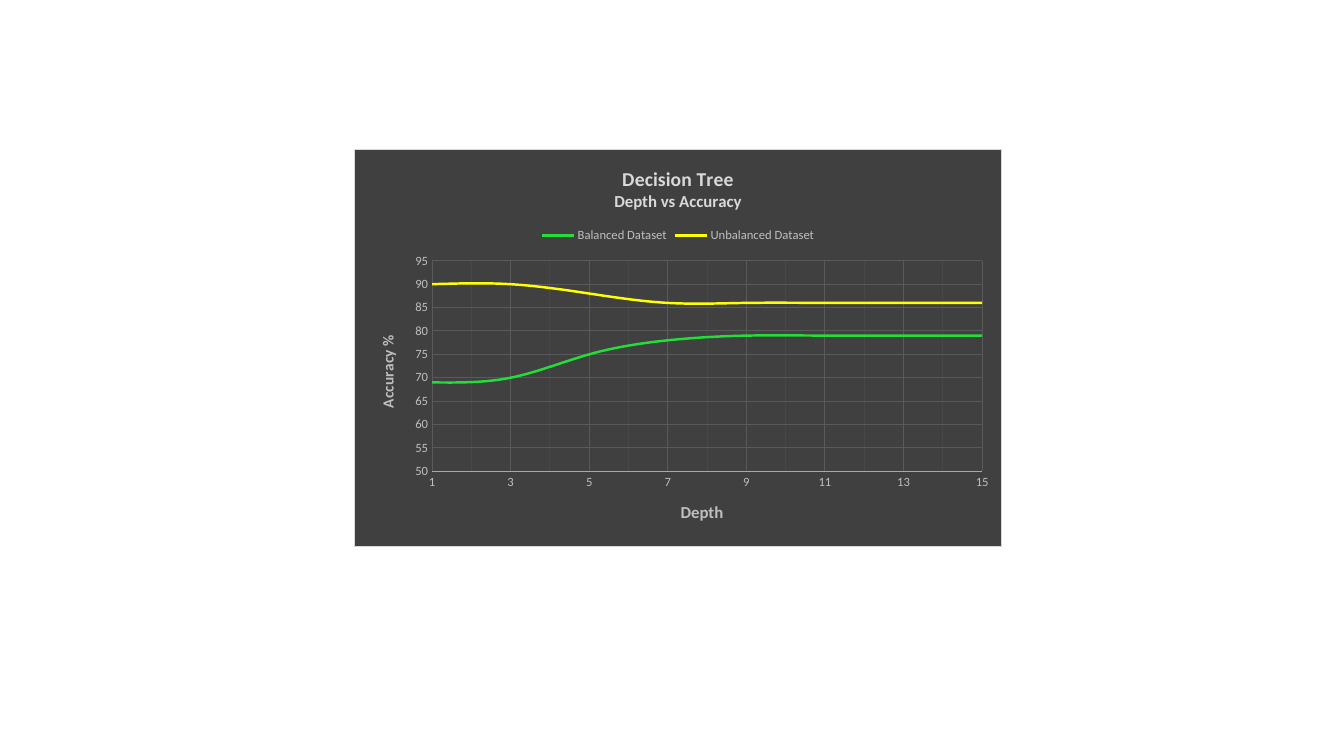
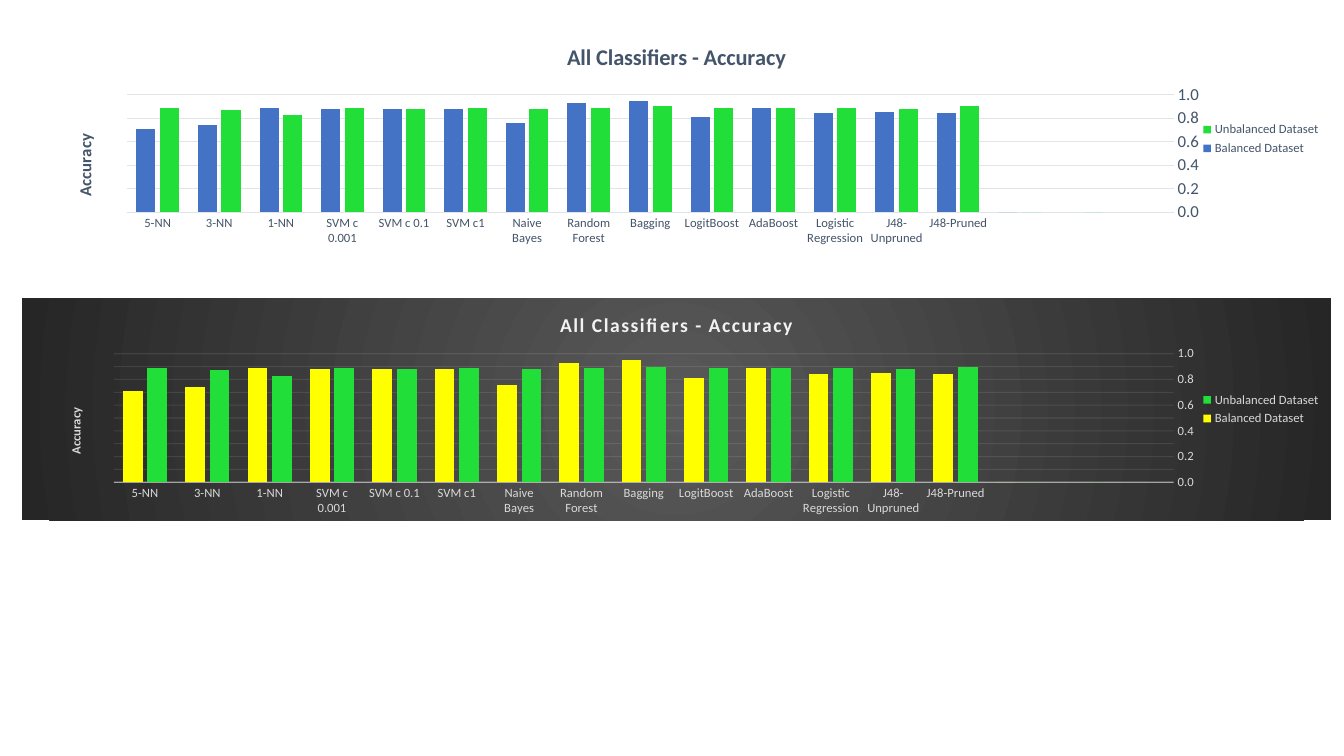
import pptx
import pptx.chart.data
import pptx.dml.color
import pptx.enum.chart
import pptx.oxml
import pptx.oxml.ns
import pptx.util

Inches = pptx.util.Inches
Pt = pptx.util.Pt
RGBColor = pptx.dml.color.RGBColor
qn = pptx.oxml.ns.qn
XL_CHART_TYPE = pptx.enum.chart.XL_CHART_TYPE
XL_LEGEND_POSITION = pptx.enum.chart.XL_LEGEND_POSITION

FONT = "Calibri"
GREEN = RGBColor(0x21, 0xDF, 0x38)
YELLOW = RGBColor(0xFF, 0xFF, 0x00)
BLUE = RGBColor(0x44, 0x72, 0xC4)
PALE_BLUE = RGBColor(0x8F, 0xAA, 0xDC)
SLATE = RGBColor(0x44, 0x54, 0x6A)
MIST = RGBColor(0xE0, 0xE5, 0xEB)
WHITE_SMOKE = RGBColor(0xF2, 0xF2, 0xF2)
LIGHT_GREY = RGBColor(0xD9, 0xD9, 0xD9)
SILVER = RGBColor(0xBF, 0xBF, 0xBF)
GRID_GREY = RGBColor(0x59, 0x59, 0x59)
FAINT_GREY = RGBColor(0x47, 0x47, 0x47)
CHARCOAL = RGBColor(0x40, 0x40, 0x40)
NEAR_BLACK = RGBColor(0x26, 0x26, 0x26)

DEPTHS = ["1", "3", "5", "7", "9", "11", "13", "15"]
DEPTH_SERIES = {
    "Balanced Dataset": [69, 70, 75, 78, 79, 79, 79, 79],
    "Unbalanced Dataset": [90, 90, 88, 86, 86, 86, 86, 86],
}
CLASSIFIERS = [
    "", "", "", "J48-Pruned", "J48-Unpruned", "Logistic Regression",
    "AdaBoost", "LogitBoost", "Bagging", "Random Forest", "Naive Bayes",
    "SVM c1", "SVM c 0.1", "SVM c 0.001", "1-NN", "3-NN", "5-NN",
]
CLASSIFIER_SERIES = {
    "Unbalanced Dataset": [
        None, 0, 0, 0.9, 0.88, 0.89, 0.89, 0.89, 0.9,
        0.89, 0.88, 0.89, 0.88, 0.89, 0.83, 0.87, 0.89],
    "Balanced Dataset": [
        None, None, 0, 0.84, 0.85, 0.84, 0.89, 0.81, 0.95,
        0.93, 0.76, 0.88, 0.88, 0.88, 0.89, 0.74, 0.71],
}


def drawing_xml(tag, content):
    """Parse a chart element with the given inner markup."""
    names = pptx.oxml.ns.nsdecls("c", "a")
    return pptx.oxml.parse_xml(f"<c:{tag} {names}>{content}</c:{tag}>")


def solid_xml(colour):
    """Return the markup of a solid fill."""
    return f'<a:solidFill><a:srgbClr val="{colour}"/></a:solidFill>'


def line_xml(colour):
    """Return the markup of a thin line."""
    return f'<a:ln w="{Pt(0.75)}">{solid_xml(colour)}</a:ln>'


def radial_xml(inner, outer):
    """Return the markup of a gradient running outwards from the centre."""
    stops = "".join(
        f'<a:gs pos="{place}"><a:srgbClr val="{colour}"/></a:gs>'
        for place, colour in ((0, inner), (100000, outer)))
    return (f'<a:gradFill><a:gsLst>{stops}</a:gsLst><a:path path="circle">'
            '<a:fillToRect l="50000" t="50000" r="50000" b="50000"/>'
            '</a:path></a:gradFill>')


def set_font(font, size, colour, bold=False):
    """Apply the deck's typeface with a size, colour and weight."""
    font.name = FONT
    font.size = Pt(size)
    font.bold = bold
    font.color.rgb = colour


def write_title(frame, lines, colour):
    """Write bold title lines given as pairs of text and size."""
    frame.text = "\n".join(text for text, size in lines)
    for para, (text, size) in zip(frame.paragraphs, lines):
        set_font(para.font, size, colour, True)


def style_axis(axis, size, colour, line=None, title=None, grid=None):
    """Format an axis, its labels, its title and its major gridlines."""
    axis.major_tick_mark = pptx.enum.chart.XL_TICK_MARK.NONE
    axis.minor_tick_mark = pptx.enum.chart.XL_TICK_MARK.NONE
    set_font(axis.tick_labels.font, size, colour)
    if line is None:
        axis.format.line.fill.background()
    else:
        axis.format.line.color.rgb = line
        axis.format.line.width = Pt(0.75)
    if title:
        write_title(axis.axis_title.text_frame, [title], colour)
    axis.has_major_gridlines = grid is not None
    if grid is not None:
        axis.major_gridlines.format.line.color.rgb = grid
        axis.major_gridlines.format.line.width = Pt(0.75)


def scale_values(axis, low, high, step, number_format):
    """Set the range, step and number format of a value axis."""
    axis.minimum_scale = low
    axis.maximum_scale = high
    axis.major_unit = step
    axis.tick_labels.number_format = number_format
    axis.tick_labels.number_format_is_linked = False
    body = axis.axis_title.element.find(".//" + qn("a:bodyPr"))
    body.set("rot", "-5400000")
    body.set("vert", "horz")


def style_minor_grid(chart, axis, colour):
    """Show an axis's minor gridlines in one colour."""
    axis.has_minor_gridlines = True
    for grid in chart.element.iter(qn("c:minorGridlines")):
        grid.append(drawing_xml("spPr", line_xml(colour)))


def fade(chart, tag, percent):
    """Set the opacity of the line formatted directly under each tag."""
    for item in chart.element.iter(qn(tag)):
        for colour in item.find(qn("c:spPr")).iter(qn("a:srgbClr")):
            alpha = colour.makeelement(qn("a:alpha"), {"val": str(percent * 1000)})
            colour.append(alpha)


def place_plot(chart, area):
    """Fix the inner plot area as fractions of the chart."""
    plot_area = chart.element.find(".//" + qn("c:plotArea"))
    for layout in plot_area.findall(qn("c:layout")):
        plot_area.remove(layout)
    modes = '<c:layoutTarget val="inner"/><c:xMode val="edge"/><c:yMode val="edge"/>'
    sizes = "".join(f'<c:{key} val="{part}"/>' for key, part in zip("xywh", area))
    layout = f"<c:manualLayout>{modes}{sizes}</c:manualLayout>"
    plot_area.insert(0, drawing_xml("layout", layout))


def start_lines_at_axis(chart):
    """Make the first and last categories sit on the plot's edges."""
    value_axis = chart.element.find(".//" + qn("c:valAx"))
    for old in value_axis.findall(qn("c:crossBetween")):
        value_axis.remove(old)
    crossing = drawing_xml("crossBetween", "")
    crossing.set("val", "midCat")
    value_axis.find(qn("c:crosses")).addnext(crossing)


def add_chart(page, kind, box, categories, series, title, title_colour,
              legend, text_colour, area, background):
    """Add a chart with title, legend, plot area and background."""
    data = pptx.chart.data.CategoryChartData()
    data.categories = categories
    for name, values in series.items():
        data.add_series(name, values)
    frame = page.shapes.add_chart(kind, *(Inches(side) for side in box), data)
    chart = frame.chart
    set_font(chart.font, 10, text_colour)
    chart.has_title = True
    write_title(chart.chart_title.text_frame, title, title_colour)
    chart.chart_title.include_in_layout = False
    chart.has_legend = True
    chart.legend.position = legend
    chart.legend.include_in_layout = False
    set_font(chart.legend.font, 9, text_colour)
    chart.plots[0].vary_by_categories = False
    place_plot(chart, area)
    chart.element.find(qn("c:chart")).addnext(drawing_xml("spPr", background))
    return chart


def add_depth_chart(page, box):
    """Add the line chart of accuracy against tree depth."""
    chart = add_chart(
        page, XL_CHART_TYPE.LINE, box, DEPTHS, DEPTH_SERIES,
        [("Decision Tree", 14), ("Depth vs Accuracy", 12)], LIGHT_GREY,
        XL_LEGEND_POSITION.TOP, SILVER, (0.12, 0.28, 0.85, 0.53),
        solid_xml(CHARCOAL) + line_xml(LIGHT_GREY))
    style_axis(chart.category_axis, 9, SILVER, PALE_BLUE, ("Depth", 12), GRID_GREY)
    style_axis(chart.value_axis, 9, SILVER, None, ("Accuracy %", 11), GRID_GREY)
    scale_values(chart.value_axis, 50, 95, 5, "0")
    style_minor_grid(chart, chart.category_axis, FAINT_GREY)
    start_lines_at_axis(chart)
    for series, colour in zip(chart.plots[0].series, (GREEN, YELLOW)):
        series.smooth = True
        series.marker.style = pptx.enum.chart.XL_MARKER_STYLE.NONE
        series.format.line.color.rgb = colour
        series.format.line.width = Pt(1.75)


def add_classifier_chart(page, box, title_size, title_colour, text_colour,
                         value_size, line, grid, balanced, gap, overlap,
                         area, background):
    """Add a column chart comparing the accuracy of all classifiers."""
    chart = add_chart(
        page, XL_CHART_TYPE.COLUMN_CLUSTERED, box, CLASSIFIERS, CLASSIFIER_SERIES,
        [("All Classifiers - Accuracy", title_size)], title_colour,
        XL_LEGEND_POSITION.RIGHT, text_colour, area, background)
    style_axis(chart.category_axis, 9, text_colour, line)
    chart.category_axis.reverse_order = True
    chart.category_axis.crosses = pptx.enum.chart.XL_AXIS_CROSSES.MAXIMUM
    style_axis(chart.value_axis, value_size, text_colour, None,
               ("Accuracy", value_size), grid)
    scale_values(chart.value_axis, 0, 1, 0.2, "0.0")
    plot = chart.plots[0]
    plot.gap_width = gap
    plot.overlap = overlap
    for series, colour in zip(plot.series, (GREEN, balanced)):
        series.invert_if_negative = False
        series.format.fill.solid()
        series.format.fill.fore_color.rgb = colour
    return chart


def add_dark_classifier_chart(page, box):
    """Add the classifier chart on its dark radial background."""
    chart = add_classifier_chart(
        page, box, 14, WHITE_SMOKE, LIGHT_GREY, 9, WHITE_SMOKE, WHITE_SMOKE,
        YELLOW, 92, -25, (0.07, 0.25, 0.81, 0.58),
        radial_xml(GRID_GREY, NEAR_BLACK) + "<a:ln><a:noFill/></a:ln>")
    chart.category_axis.format.line.width = Pt(1)
    chart.value_axis.minor_unit = 0.1
    style_minor_grid(chart, chart.value_axis, WHITE_SMOKE)
    fade(chart, "c:catAx", 54)
    fade(chart, "c:majorGridlines", 10)
    fade(chart, "c:minorGridlines", 10)
    for font in chart.chart_title.element.iter(qn("a:defRPr")):
        font.set("spc", "100")


def main():
    """Build the two chart slides and save the deck."""
    deck = pptx.Presentation()
    deck.slide_width = Inches(13.33)
    deck.slide_height = Inches(7.5)
    blank = deck.slide_layouts[6]
    add_depth_chart(deck.slides.add_slide(blank), (3.51, 1.48, 6.43, 3.95))
    page = deck.slides.add_slide(blank)
    add_classifier_chart(
        page, (0.22, 0.28, 12.98, 2.2), 16, SLATE, SLATE, 12, MIST, MIST,
        BLUE, 100, -24, (0.08, 0.3, 0.8, 0.53),
        "<a:noFill/><a:ln><a:noFill/></a:ln>")
    add_dark_classifier_chart(page, (0.22, 2.96, 12.98, 2.2))
    deck.save("out.pptx")


if __name__ == "__main__":
    main()
